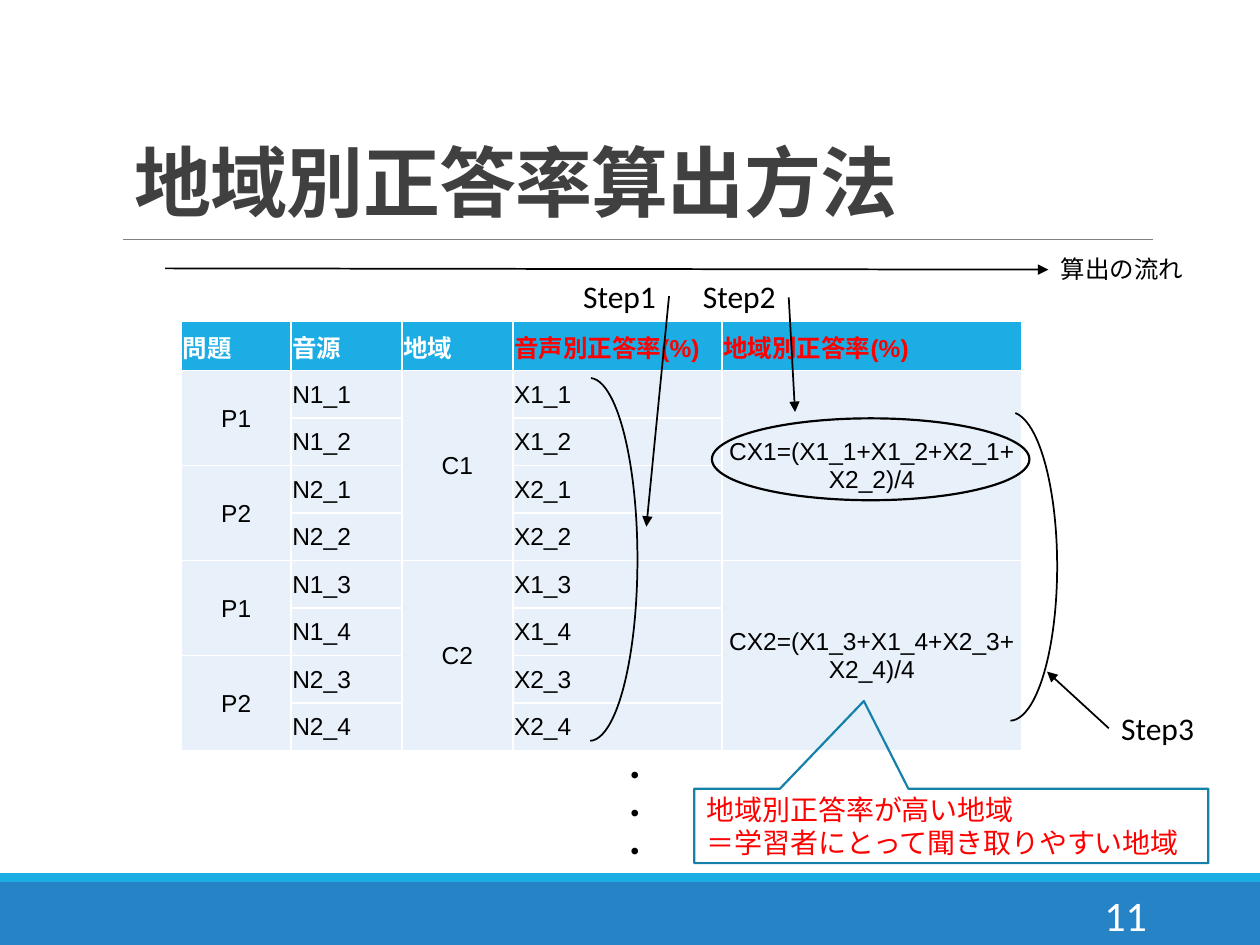
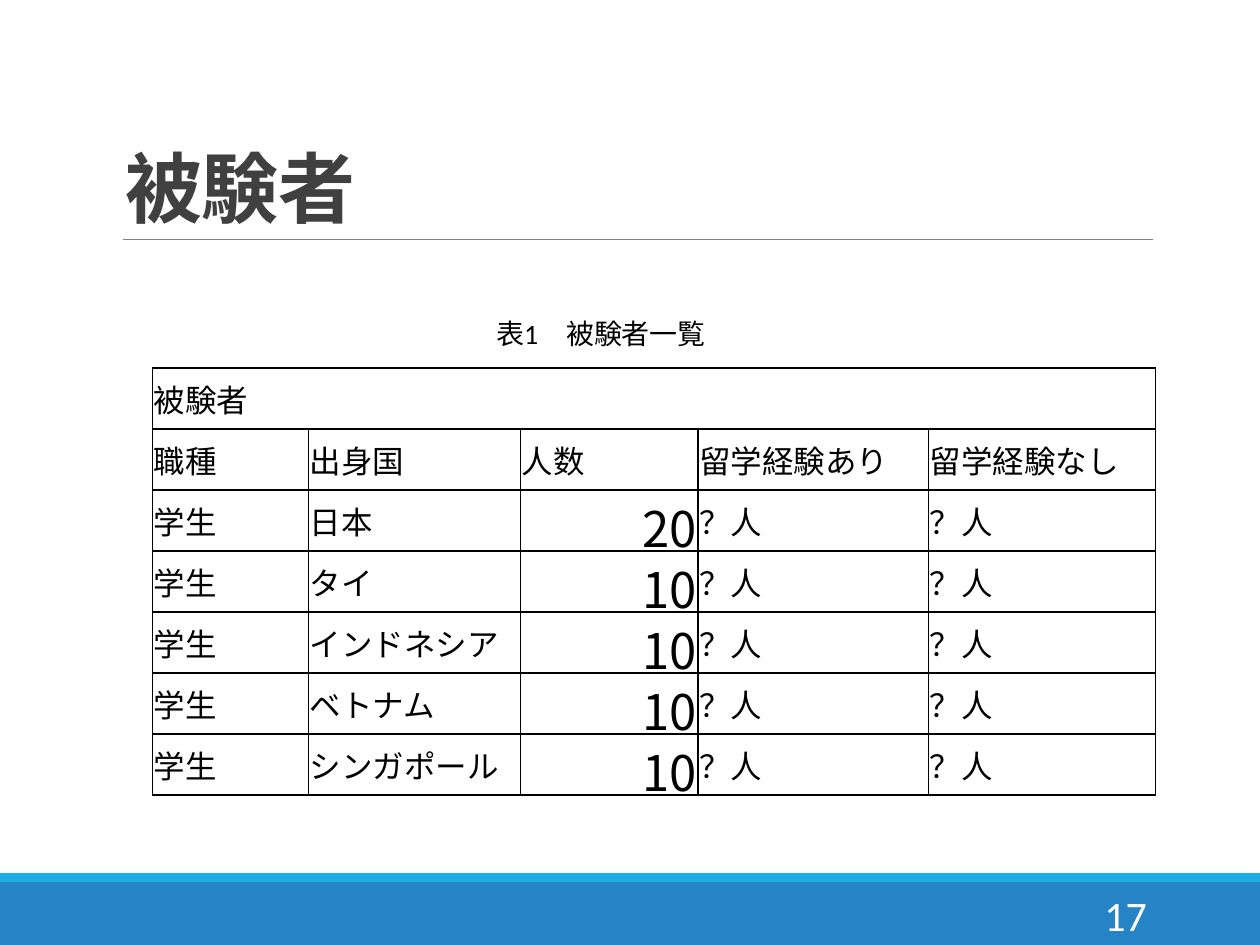
from dataclasses import dataclass
from typing import Optional, Sequence

from lxml.etree import SubElement
from pptx import Presentation
from pptx.dml.color import RGBColor
from pptx.enum.shapes import MSO_CONNECTOR, MSO_SHAPE
from pptx.enum.text import MSO_ANCHOR, PP_ALIGN
from pptx.oxml.ns import qn
from pptx.util import Inches, Pt


@dataclass(frozen=True)
class Theme:
    band: str = "2683C6"
    accent: str = "1CADE4"
    callout: str = "1580A9"
    cell: str = "E8F1FA"
    title: str = "404040"
    rule: str = "808080"
    black: str = "000000"
    white: str = "FFFFFF"
    red: str = "FF0000"
    font: str = "Calibri"
    table_font: str = "Arial"
    japanese_font: str = "Noto Sans CJK JP"
    title_size: float = 44
    count_size: float = 28
    number_size: float = 24
    body_size: float = 18
    caption_size: float = 16
    small_size: float = 14


THEME = Theme()


@dataclass(frozen=True)
class Box:
    left: float
    top: float
    width: float
    height: float

    def lengths(self) -> list:
        return [Inches(value) for value in (self.left, self.top, self.width, self.height)]


@dataclass(frozen=True)
class Label:
    text: str
    box: Box
    size: float = THEME.body_size
    wrap: bool = True
    align: PP_ALIGN = PP_ALIGN.LEFT


@dataclass(frozen=True)
class Line:
    start: tuple
    end: tuple
    color: str = THEME.black
    width: float = 1
    arrow: bool = True


@dataclass(frozen=True)
class Outline:
    kind: MSO_SHAPE
    box: Box
    adjustments: tuple = ()
    color: str = THEME.black
    width: float = 1


@dataclass(frozen=True)
class Cell:
    text: str
    color: str = THEME.black
    size: Optional[float] = None
    bold: bool = False
    align: PP_ALIGN = PP_ALIGN.LEFT
    row_span: int = 1
    column_span: int = 1
    fill: Optional[str] = None


@dataclass(frozen=True)
class TableStyle:
    font: str
    size: float
    border: str
    fill: Optional[str] = None


def rgb(value: str) -> RGBColor:
    return RGBColor.from_string(value)


def write_text(frame, text: str, *, size: float, color: str = THEME.black,
               font: str = THEME.font, bold: bool = False,
               align: PP_ALIGN = PP_ALIGN.LEFT, anchor: MSO_ANCHOR = MSO_ANCHOR.TOP,
               wrap: bool = True, line_spacing: Optional[float] = None,
               tracking: Optional[int] = None) -> None:
    """Write one paragraph per line of text."""
    frame.word_wrap = wrap
    frame.vertical_anchor = anchor
    for index, content in enumerate(text.split("\n")):
        paragraph = frame.add_paragraph() if index else frame.paragraphs[0]
        paragraph.alignment = align
        if line_spacing:
            paragraph.line_spacing = line_spacing
        run = paragraph.add_run()
        run.text = content
        run.font.size = Pt(size)
        run.font.bold = bold
        run.font.color.rgb = rgb(color)
        run.font.name = font
        properties = run.font._element
        SubElement(properties, qn("a:ea"), typeface=THEME.japanese_font)
        if tracking is not None:
            properties.set("spc", str(tracking))


def add_text(slide, box: Box, text: str, **text_format) -> None:
    write_text(slide.shapes.add_textbox(*box.lengths()).text_frame, text, **text_format)


def add_label(slide, label: Label) -> None:
    add_text(slide, label.box, label.text, size=label.size, wrap=label.wrap, align=label.align)


def add_line(slide, line: Line) -> None:
    points = [Inches(value) for value in (*line.start, *line.end)]
    connector = slide.shapes.add_connector(MSO_CONNECTOR.STRAIGHT, *points)
    connector.line.color.rgb = rgb(line.color)
    connector.line.width = Pt(line.width)
    properties = connector._element.spPr
    if line.arrow:
        SubElement(properties.find(qn("a:ln")), qn("a:tailEnd"), type="triangle")
    SubElement(properties, qn("a:effectLst"))


def add_band(slide, box: Box, color: str) -> None:
    shape = slide.shapes.add_shape(MSO_SHAPE.RECTANGLE, *box.lengths())
    shape.shadow.inherit = False
    shape.fill.solid()
    shape.fill.fore_color.rgb = rgb(color)
    shape.line.fill.background()


def add_outline(slide, outline: Outline):
    shape = slide.shapes.add_shape(outline.kind, *outline.box.lengths())
    shape.shadow.inherit = False
    shape.fill.background()
    shape.line.color.rgb = rgb(outline.color)
    shape.line.width = Pt(outline.width)
    for index, value in enumerate(outline.adjustments):
        shape.adjustments[index] = value
    return shape


def style_cell(cell, border: str, fill: Optional[str]) -> None:
    cell.margin_left = cell.margin_top = cell.margin_right = Inches(0.01)
    cell.margin_bottom = 0
    properties = cell._tc.get_or_add_tcPr()
    for side in ("L", "R", "T", "B"):
        edge = SubElement(properties, qn(f"a:ln{side}"), w=str(Pt(1)))
        SubElement(SubElement(edge, qn("a:solidFill")), qn("a:srgbClr"), val=border)
    if fill:
        cell.fill.solid()
        cell.fill.fore_color.rgb = rgb(fill)
    else:
        cell.fill.background()


def add_table(slide, left: float, top: float, column_widths: Sequence[float],
              row_heights: Sequence[float], rows: Sequence[Sequence[Optional[Cell]]],
              style: TableStyle) -> None:
    """Draw a table; None marks a place covered by a merged cell."""
    box = Box(left, top, sum(column_widths), sum(row_heights))
    table = slide.shapes.add_table(len(rows), len(column_widths), *box.lengths()).table
    table.first_row = table.horz_banding = False
    for column, width in zip(table.columns, column_widths):
        column.width = Inches(width)
    for row, height in zip(table.rows, row_heights):
        row.height = Inches(height)
    for row_index, row in enumerate(rows):
        for column_index, content in enumerate(row):
            cell = table.cell(row_index, column_index)
            style_cell(cell, style.border, (content and content.fill) or style.fill)
            if content is None:
                continue
            cell.vertical_anchor = MSO_ANCHOR.MIDDLE
            write_text(cell.text_frame, content.text, size=content.size or style.size,
                       color=content.color, font=style.font, bold=content.bold,
                       align=content.align, anchor=MSO_ANCHOR.MIDDLE)
            if content.row_span > 1 or content.column_span > 1:
                cell.merge(table.cell(row_index + content.row_span - 1,
                                      column_index + content.column_span - 1))


def add_base_slide(presentation, title: str, title_box: Box, number: int):
    """Add a slide with the shared bands, title rule, title and number."""
    slide = presentation.slides.add_slide(presentation.slide_layouts[6])
    add_band(slide, Box(0, 7, 10, 0.5), THEME.band)
    add_band(slide, Box(0, 6.93, 10, 0.07), THEME.accent)
    add_line(slide, Line((0.98, 1.9), (9.15, 1.9), THEME.rule, 0.5, arrow=False))
    add_text(slide, title_box, title, size=THEME.title_size, color=THEME.title, bold=True,
             anchor=MSO_ANCHOR.BOTTOM, line_spacing=0.85, tracking=-50)
    add_text(slide, Box(8.12, 7.06, 1.08, 0.4), str(number), size=THEME.number_size,
             color=THEME.white, align=PP_ALIGN.RIGHT, anchor=MSO_ANCHOR.MIDDLE)
    return slide


def region_rows(region: int) -> list:
    """Four rows: two problems, each with the two speakers of the region."""
    keys = [f"{problem}_{speaker}" for problem in (1, 2)
            for speaker in (2 * region - 1, 2 * region)]
    formula = f"CX{region}=({'+'.join('X' + key for key in keys)})/4"
    rows = []
    for index, key in enumerate(keys):
        problem = Cell(f"P{key[0]}", align=PP_ALIGN.CENTER, row_span=2)
        place = Cell(f"C{region}", align=PP_ALIGN.CENTER, row_span=4)
        rate = Cell(formula, align=PP_ALIGN.CENTER, row_span=4)
        rows.append([problem if index % 2 == 0 else None, Cell(f"N{key}"),
                     place if index == 0 else None, Cell(f"X{key}"),
                     rate if index == 0 else None])
    return rows


def build_method_slide(presentation) -> None:
    slide = add_base_slide(presentation, "地域別正答率算出方法", Box(0.97, 0.9, 9.37, 0.95), 11)

    # Accuracy table
    headings = [(text, THEME.white) for text in ("問題", "音源", "地域")]
    headings += [(text, THEME.red) for text in ("音声別正答率(%)", "地域別正答率(%)")]
    header = [Cell(text, color, bold=True, fill=THEME.accent) for text, color in headings]
    add_table(slide, 1.44, 2.55, (0.87, 0.88, 0.88, 1.66, 2.38), [0.39] + [3.02 / 8] * 8,
              [header] + region_rows(1) + region_rows(2),
              TableStyle(THEME.table_font, THEME.small_size, THEME.white, THEME.cell))

    # Step labels and flow
    for label in (
        Label("・\n・\n・", Box(4.82, 5.95, 0.4, 1.01)),
        Label("算出の流れ", Box(8.32, 1.97, 1.27, 0.34), THEME.small_size),
        Label("Step1", Box(4.53, 2.15, 0.78, 0.4), wrap=False),
        Label("Step2", Box(5.48, 2.15, 0.78, 0.4), wrap=False),
        Label("Step3", Box(8.8, 5.58, 0.78, 0.4), wrap=False),
    ):
        add_label(slide, label)
    for arrow in (
        Line((1.31, 2.13), (8.32, 2.14)),
        Line((5.31, 2.35), (5.13, 4.18)),
        Line((6.26, 2.36), (6.31, 3.27)),
        Line((8.8, 5.78), (8.31, 5.33)),
    ):
        add_line(slide, arrow)

    # Grouping marks
    for outline in (
        Outline(MSO_SHAPE.ARC, Box(4.3, 3, 0.76, 2.88), (162.26, 53.88)),
        Outline(MSO_SHAPE.OVAL, Box(5.65, 3.32, 2.52, 0.65), width=1.25),
        Outline(MSO_SHAPE.ARC, Box(7.64, 3.27, 0.75, 2.45), (163.22, 53.88)),
    ):
        add_outline(slide, outline)

    # Conclusion callout
    callout = add_outline(slide, Outline(MSO_SHAPE.RECTANGULAR_CALLOUT,
                                         Box(5.51, 6.26, 4.08, 0.59), (-0.17, -1.68),
                                         THEME.callout, 1.25))
    write_text(callout.text_frame, "地域別正答率が高い地域\n＝学習者にとって聞き取りやすい地域",
               size=THEME.caption_size, color=THEME.red, anchor=MSO_ANCHOR.MIDDLE)


def build_subjects_slide(presentation) -> None:
    slide = add_base_slide(presentation, "被験者", Box(0.9, 0.58, 8.25, 1.32), 17)
    add_label(slide, Label("表1　被験者一覧", Box(3.45, 2.46, 2.64, 0.37),
                           THEME.caption_size, align=PP_ALIGN.CENTER))

    # Subjects by country
    headings = ("職種", "出身国", "人数", "留学経験あり", "留学経験なし")
    rows = [[Cell("被験者", column_span=5)] + [None] * 4, [Cell(text) for text in headings]]
    counts = {"日本": 20, "タイ": 10, "インドネシア": 10, "ベトナム": 10, "シンガポール": 10}
    for country, count in counts.items():
        rows.append([Cell("学生"), Cell(country),
                     Cell(str(count), size=THEME.count_size, align=PP_ALIGN.RIGHT),
                     Cell("？人"), Cell("？人")])
    add_table(slide, 1.21, 2.92, (1.24, 1.68, 1.41, 1.83, 1.8), [3.39 / 7] * 7, rows,
              TableStyle(THEME.japanese_font, THEME.body_size, THEME.black))


def main() -> None:
    presentation = Presentation()
    presentation.slide_width = Inches(10)
    presentation.slide_height = Inches(7.5)
    build_method_slide(presentation)
    build_subjects_slide(presentation)
    presentation.save("out.pptx")


if __name__ == "__main__":
    main()
